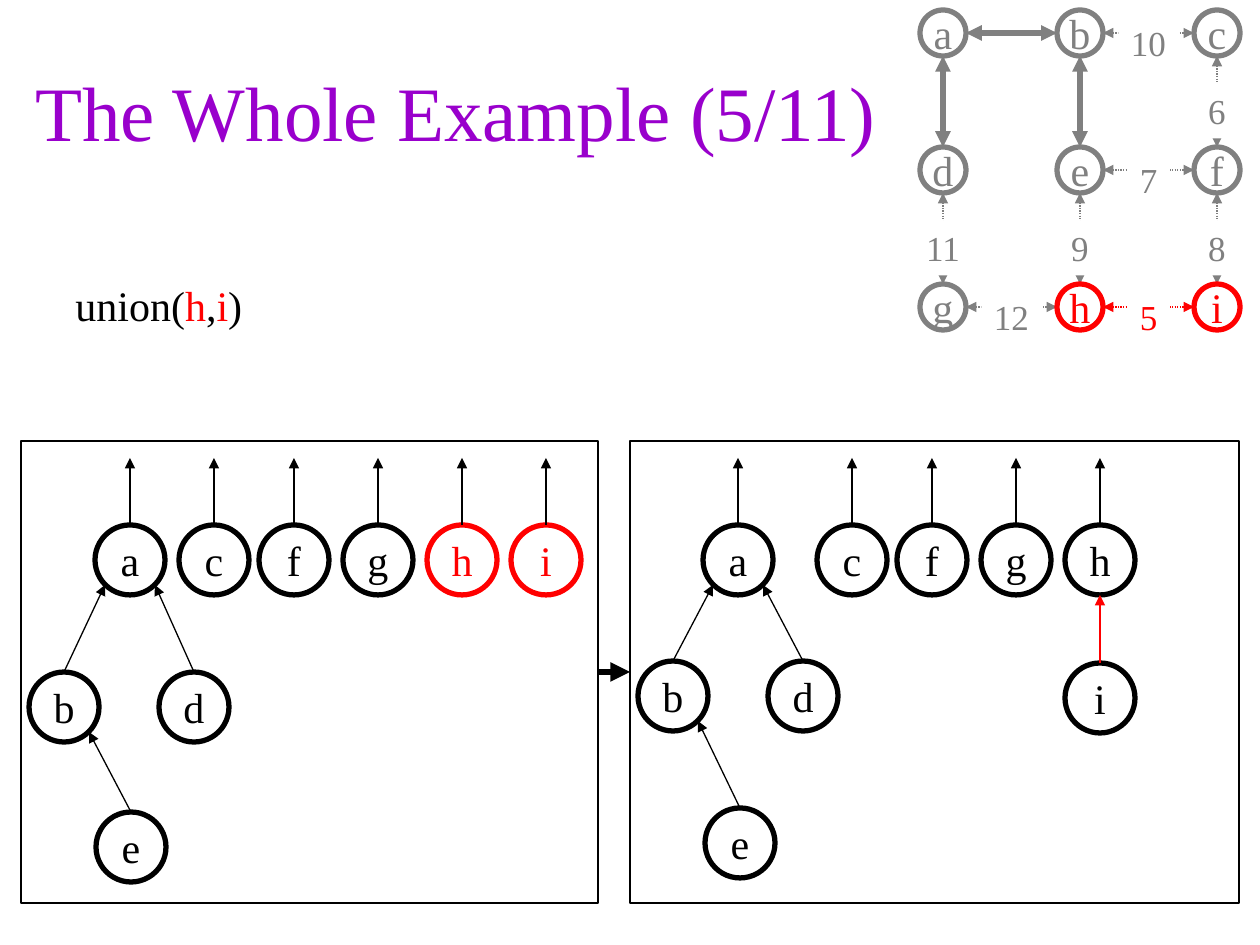
from pptx import Presentation
from pptx.dml.color import RGBColor
from pptx.enum.dml import MSO_LINE
from pptx.enum.shapes import MSO_CONNECTOR as LINK, MSO_SHAPE as SHAPE
from pptx.enum.text import MSO_ANCHOR as ANCHOR, PP_ALIGN as ALIGN
from pptx.oxml.ns import qn
from pptx.util import Pt
from lxml.etree import SubElement

SCALE = 914400 / 126
FONT = "Times New Roman"
HEX = {
    "black": "000000",
    "white": "FFFFFF",
    "gray": "808080",
    "red": "FF0000",
    "purple": "9900CC",
}

LEFT, TOP, STEP, DOT = 943, 33, 137, 46
GRID = ["abc", "def", "ghi"]
EDGES = [
    ("ab", "", 0), ("ad", "", 0), ("be", "", 0),
    ("bc", "10", 60), ("cf", "6", 38), ("ef", "7", 43),
    ("dg", "11", 62), ("eh", "9", 73), ("fi", "8", 38),
    ("gh", "12", 60), ("hi", "5", 43),
]

NODE, ROOT, TIP = 70, 560, 458
BEFORE = {
    "a": (130, ROOT), "c": (214, ROOT), "f": (294, ROOT),
    "g": (378, ROOT), "h": (462, ROOT), "i": (546, ROOT),
    "b": (64, 707), "d": (194, 707), "e": (131, 847),
}
AFTER = {
    "a": (738, ROOT), "c": (852, ROOT), "f": (932, ROOT),
    "g": (1016, ROOT), "h": (1100, ROOT), "i": (1100, 698),
    "b": (673, 696), "d": (803, 696), "e": (740, 843),
}
TREE = {"b": "a", "d": "a", "e": "b"}


def px(n):
    return round(n * SCALE)


def rgb(name):
    return RGBColor.from_string(HEX[name])


def style(run, size, color):
    run.font.name = FONT
    run.font.size = Pt(size)
    run.font.color.rgb = rgb(color)


def add_form(slide, kind, box, fill=None, line=None, width=0.75):
    form = slide.shapes.add_shape(kind, *map(px, box))
    form.shadow.inherit = False
    if fill:
        form.fill.solid()
        form.fill.fore_color.rgb = rgb(fill)
    else:
        form.fill.background()
    if line:
        form.line.color.rgb = rgb(line)
        form.line.width = Pt(width)
    else:
        form.line.fill.background()
    return form


def write(form, text, size, color, anchor):
    frame = form.text_frame
    frame.word_wrap = False
    frame.vertical_anchor = anchor
    frame.text = text
    para = frame.paragraphs[0]
    para.alignment = ALIGN.CENTER
    style(para.runs[0], size, color)


def add_node(slide, name, spot, size, color):
    x, y = spot
    box = (x - size / 2, y - size / 2, size, size)
    form = add_form(slide, SHAPE.OVAL, box, line=color, width=3)
    write(form, name, 24, color, ANCHOR.MIDDLE)


def add_arrow(slide, start, end, color="black", width=0.75, both=False, dots=False):
    link = slide.shapes.add_connector(LINK.STRAIGHT, *map(px, start + end))
    link.line.color.rgb = rgb(color)
    link.line.width = Pt(width)
    if dots:
        link.line.dash_style = MSO_LINE.ROUND_DOT
    ln = link.line._get_or_add_ln()
    for tag in ("a:headEnd", "a:tailEnd") if both else ("a:tailEnd",):
        SubElement(ln, qn(tag), type="triangle")
    SubElement(link._element.spPr, qn("a:effectLst"))
    return link


def add_title(slide, text):
    title = slide.shapes.title
    title.left, title.top, title.width, title.height = map(px, (10, 32, 892, 157))
    write(title, text, 44, "purple", ANCHOR.MIDDLE)


def add_call(slide, parts):
    box = slide.shapes.add_textbox(*map(px, (63, 273, 192, 63)))
    box.text_frame.word_wrap = False
    para = box.text_frame.paragraphs[0]
    for text, color in parts:
        run = para.add_run()
        run.text = text
        style(run, 24, color)


def add_graph(slide, hot):
    spots = {
        name: (LEFT + col * STEP, TOP + row * STEP)
        for row, names in enumerate(GRID)
        for col, name in enumerate(names)
    }
    for (one, two), cost, width in EDGES:
        (x1, y1), (x2, y2) = spots[one], spots[two]
        dx = DOT / 2 if x2 > x1 else 0
        dy = DOT / 2 if y2 > y1 else 0
        color = "red" if one + two == hot else "gray"
        add_arrow(slide, (x1 + dx, y1 + dy), (x2 - dx, y2 - dy), color,
                  0.75 if cost else 3, both=True, dots=bool(cost))
        if cost:
            box = ((x1 + x2 - width) / 2, (y1 + y2) / 2 - 18, width, 55)
            tag = add_form(slide, SHAPE.RECTANGLE, box, fill="white")
            write(tag, cost, 20, color, ANCHOR.TOP)
    for name, spot in spots.items():
        add_node(slide, name, spot, DOT, "red" if name in hot else "gray")


def add_forest(slide, left, width, spots, tree, hot="", new=""):
    panel = add_form(slide, SHAPE.RECTANGLE, (left, 441, width, 462), "white", "black")
    for name, (x, y) in spots.items():
        add_node(slide, name, (x, y), NODE, "red" if name in hot else "black")
        if name in tree:
            px1, py1 = spots[tree[name]]
            side = (x > px1) - (x < px1)
            end = (px1 + side * 25, py1 + (25 if side else NODE / 2))
        else:
            end = (x, TIP)
        add_arrow(slide, (x, y - NODE / 2), end, "red" if name == new else "black")
    return panel


def main():
    deck = Presentation()
    deck.slide_width, deck.slide_height = px(1260), px(945)
    slide = deck.slides.add_slide(deck.slide_layouts[5])
    add_title(slide, "The Whole Example (5/11)")
    add_call(slide, [("union(", "black"), ("h", "red"), (",", "black"),
                     ("i", "red"), (")", "black")])
    add_graph(slide, "hi")
    old = add_forest(slide, 21, 577, BEFORE, TREE, hot="hi")
    new = add_forest(slide, 630, 609, AFTER, {**TREE, "i": "h"}, new="i")
    step = add_arrow(slide, (598, 672), (630, 672), width=3.75)
    step.begin_connect(old, 3)
    step.end_connect(new, 1)
    deck.save("out.pptx")


if __name__ == "__main__":
    main()
